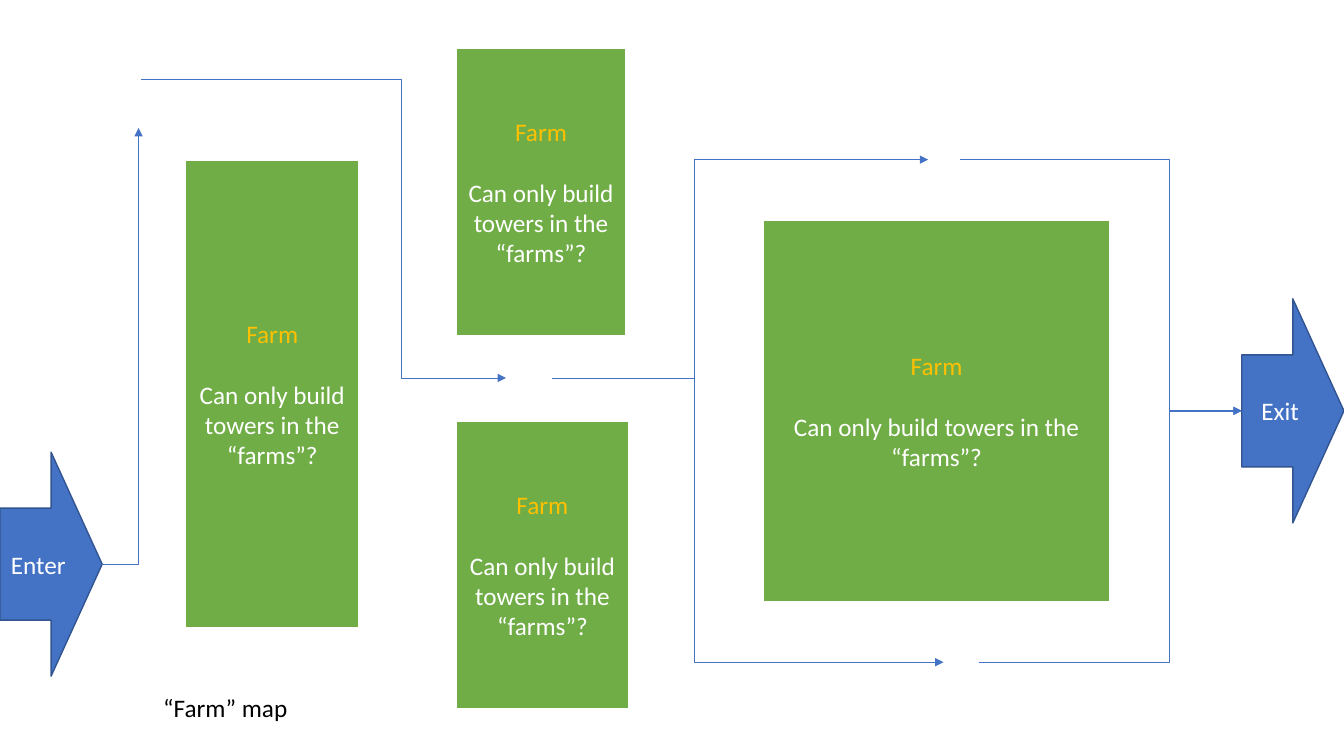
from lxml import etree
from pptx import Presentation
from pptx.dml.color import RGBColor
from pptx.enum import shapes, text
from pptx.oxml.ns import qn
from pptx.util import Pt

BLUE = RGBColor(0x44, 0x72, 0xC4)
DARK_BLUE = RGBColor(0x32, 0x54, 0x91)
GREEN = RGBColor(0x70, 0xAD, 0x47)
GOLD = RGBColor(0xFF, 0xC0, 0x00)
WHITE = RGBColor(0xFF, 0xFF, 0xFF)
BLACK = RGBColor(0x00, 0x00, 0x00)

presentation = Presentation()
presentation.slide_width, presentation.slide_height = Pt(960), Pt(540)
slide = presentation.slides.add_slide(presentation.slide_layouts[6])


def write(paragraph, words, color=WHITE, align=text.PP_ALIGN.CENTER, before=0):
    paragraph.alignment = align
    paragraph.space_before = Pt(before)
    run = paragraph.add_run()
    run.text = words
    run.font.name, run.font.size = "Calibri", Pt(18)
    run.font.color.rgb = color


def add_block(kind, box, fill, line, width):
    shape = slide.shapes.add_shape(kind, *map(Pt, box))
    shape.shadow.inherit = False
    shape.fill.solid()
    shape.fill.fore_color.rgb = fill
    shape.line.color.rgb = line
    shape.line.width = Pt(width)
    shape.text_frame.word_wrap = True
    shape.text_frame.vertical_anchor = text.MSO_ANCHOR.MIDDLE
    return shape.text_frame


# Entrance and exit
for label, left, top in (("Enter", 0, 323), ("Exit", 887, 213.5)):
    frame = add_block(shapes.MSO_SHAPE.RIGHT_ARROW, (left, top, 73, 160),
                      BLUE, DARK_BLUE, 1)
    write(frame.paragraphs[0], label)

# Farms
farms = (
    (325.5, 300.5, 124, 206),
    (545, 157, 248, 273),
    (325.5, 34, 122, 206),
    (132.5, 114, 124, 335),
)
for box in farms:
    frame = add_block(shapes.MSO_SHAPE.RECTANGLE, box, GREEN, WHITE, 1.5)
    write(frame.paragraphs[0], "Farm", color=GOLD)
    write(frame.add_paragraph(), "Can only build towers in the “farms”?", before=22)

# Paths between the farms: start, end, x of the turn
paths = (
    ((73, 403), (99, 91.5), 99),
    ((101, 57), (361.5, 270), 286.5),
    ((394.5, 270), (663, 114), 496),
    ((394.5, 270), (674, 473), 496),
    ((685.5, 114), (887, 293.5), 835.5),
    ((699, 473), (887, 293.5), 835.5),
)
for start, end, turn in paths:
    connector = slide.shapes.add_connector(
        shapes.MSO_CONNECTOR.ELBOW, *map(Pt, start + end))
    connector.line.color.rgb = BLUE
    connector.line.width = Pt(0.5)
    properties = connector._element.spPr
    geometry = properties.find(qn("a:prstGeom"))
    if turn == end[0]:
        geometry.set("prst", "bentConnector2")
    else:
        share = round((turn - start[0]) / (end[0] - start[0]) * 100000)
        etree.SubElement(geometry.find(qn("a:avLst")), qn("a:gd"),
                         name="adj1", fmla=f"val {share}")
    etree.SubElement(properties.find(qn("a:ln")), qn("a:tailEnd"), type="triangle")
    etree.SubElement(properties, qn("a:effectLst"))

# Caption
caption = slide.shapes.add_textbox(Pt(109.5), Pt(491), Pt(104.5), Pt(29)).text_frame
caption.word_wrap = False
caption.auto_size = text.MSO_AUTO_SIZE.SHAPE_TO_FIT_TEXT
write(caption.paragraphs[0], "“Farm” map", color=BLACK, align=text.PP_ALIGN.LEFT)

presentation.save("out.pptx")
